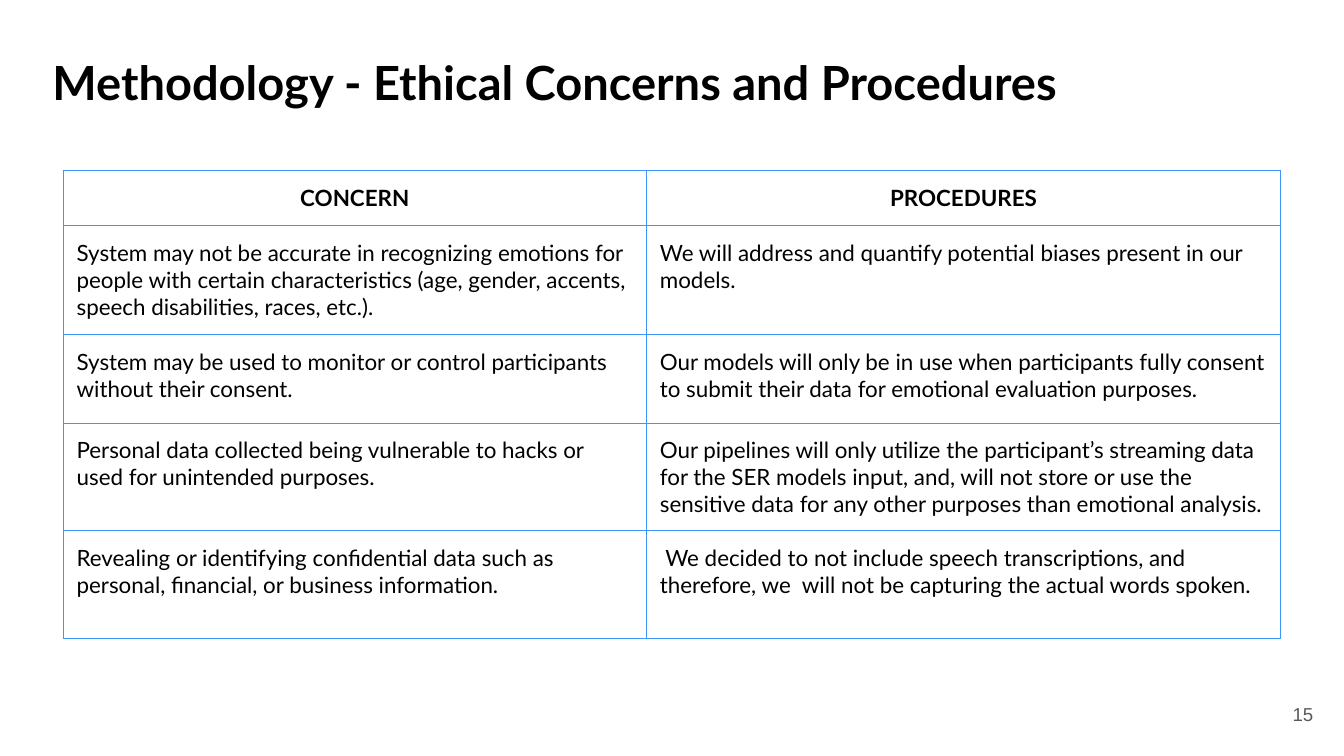
"""Build the ethical concerns and procedures slide."""
from typing import NamedTuple

from lxml.etree import SubElement
from pptx import Presentation
from pptx.dml.color import RGBColor
from pptx.enum.text import MSO_ANCHOR, MSO_AUTO_SIZE, PP_ALIGN
from pptx.oxml.ns import qn
from pptx.util import Inches, Pt

BLACK, GRAY, BLUE = "000000", "595959", "3D97FB"
COL_WIDTHS = [4.34, 4.72]


class Row(NamedTuple):
    height: float
    concern: str
    procedure: str


ROWS = [
    Row(0.41, "CONCERN", "PROCEDURES"),
    Row(0.81,
        "System may not be accurate in recognizing emotions for people with certain "
        "characteristics (age, gender, accents, speech disabilities, races, etc.).",
        "We will address and quantify potential biases present in our models."),
    Row(0.66,
        "System may be used to monitor or control participants without their consent.",
        "Our models will only be in use when participants fully consent to submit "
        "their data for emotional evaluation purposes."),
    Row(0.8,
        "Personal data collected being vulnerable to hacks or used for unintended purposes.",
        "Our pipelines will only utilize the participant’s streaming data for the SER "
        "models input, and, will not store or use the sensitive data for any other "
        "purposes than emotional analysis."),
    Row(0.8,
        "Revealing or identifying confidential data such as personal, financial, or "
        "business information.",
        " We decided to not include speech transcriptions, and therefore, we  will not "
        "be capturing the actual words spoken."),
]


def rgb(color: str) -> RGBColor:
    return RGBColor.from_string(color)


def set_text(box, text: str, size: float, font: str = "Lato", color: str = BLACK,
             bold: bool = False, align=PP_ALIGN.LEFT) -> None:
    tf = box.text_frame
    tf.text = text
    p = tf.paragraphs[0]
    p.alignment = align
    p.font.size = Pt(size)
    p.font.name = font
    p.font.bold = bold
    p.font.color.rgb = rgb(color)


def set_margins(box) -> None:
    box.margin_left = box.margin_right = Inches(0.1)
    box.margin_top = box.margin_bottom = Inches(0.1)


def set_borders(cell, color: str, width: float) -> None:
    tc_pr = cell._tc.get_or_add_tcPr()
    for side in ("a:lnL", "a:lnR", "a:lnT", "a:lnB"):
        ln = SubElement(tc_pr, qn(side), w=str(Pt(width)))
        fill = SubElement(ln, qn("a:solidFill"))
        SubElement(fill, qn("a:srgbClr"), val=color)


def add_title(slide, text: str) -> None:
    sp = slide.shapes.title
    sp.left, sp.top = Inches(0.29), Inches(0.3)
    sp.width, sp.height = Inches(9.54), Inches(0.63)
    set_text(sp, text, 25.2, bold=True)
    tf = sp.text_frame
    set_margins(tf)
    tf.vertical_anchor = MSO_ANCHOR.TOP
    tf.auto_size = MSO_AUTO_SIZE.NONE


def add_concerns_table(slide, rows: list[Row]) -> None:
    frame = slide.shapes.add_table(
        len(rows), len(COL_WIDTHS), Inches(0.47), Inches(1.27),
        Inches(sum(COL_WIDTHS)), Inches(sum(row.height for row in rows)))
    table = frame.table
    table.first_row = table.horz_banding = False
    for col, width in zip(table.columns, COL_WIDTHS):
        col.width = Inches(width)
    for i, row in enumerate(rows):
        table.rows[i].height = Inches(row.height)
        header = i == 0
        for j, text in enumerate((row.concern, row.procedure)):
            cell = table.cell(i, j)
            set_text(cell, text, 12, bold=header,
                     align=PP_ALIGN.CENTER if header else PP_ALIGN.LEFT)
            set_margins(cell)
            set_borders(cell, BLUE, 0.75)
            cell.fill.background()


def add_page_number(slide, number: int) -> None:
    sp = slide.shapes.add_textbox(Inches(9.27), Inches(5.1), Inches(0.6), Inches(0.43))
    set_text(sp, str(number), 10, font="Arial", color=GRAY, align=PP_ALIGN.RIGHT)
    tf = sp.text_frame
    tf.word_wrap = True
    tf.vertical_anchor = MSO_ANCHOR.MIDDLE
    set_margins(tf)


def main() -> None:
    prs = Presentation()
    prs.slide_width, prs.slide_height = Inches(10), Inches(10 * 9 / 16)
    s = prs.slides.add_slide(prs.slide_layouts[5])
    add_page_number(s, 15)
    add_title(s, "Methodology - Ethical Concerns and Procedures")
    add_concerns_table(s, ROWS)
    prs.save("out.pptx")


if __name__ == "__main__":
    main()
